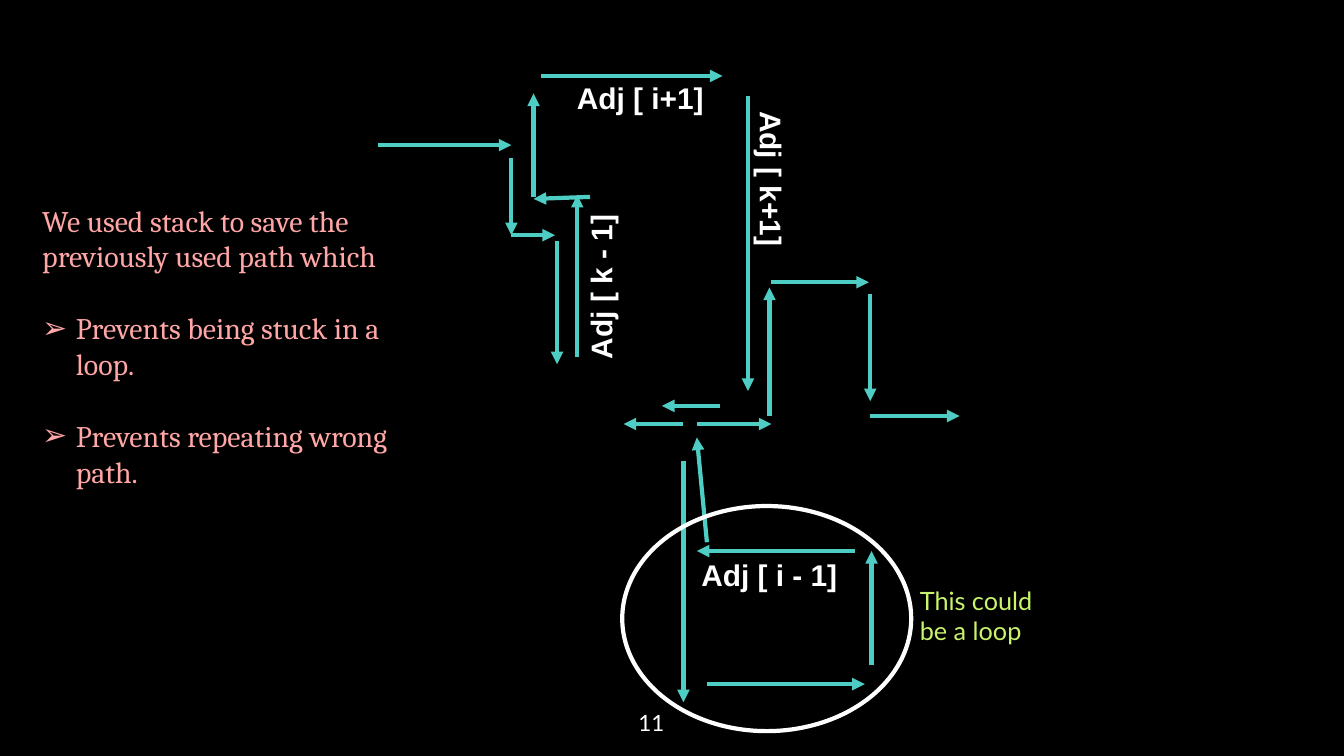
from lxml.etree import SubElement
from pptx import Presentation
from pptx.dml.color import RGBColor
from pptx.enum.shapes import MSO_CONNECTOR, MSO_SHAPE
from pptx.enum.text import MSO_AUTO_SIZE, PP_ALIGN
from pptx.oxml.ns import qn
from pptx.util import Emu, Pt

PX = 9144
LINE_WIDTH = Pt(4.5)
COLORS = {
    "background": "000000",
    "arrow": "4ECDC4",
    "white": "FFFFFF",
    "loop": "CAF46C",
    "body": "FFA6A6",
}
FORMATS = {
    "label": {"name": "Arial", "size": Pt(32), "bold": True},
    "loop": {"name": "Lato", "size": Pt(27)},
    "body": {"name": "Cambria", "size": Pt(32)},
    "number": {"name": "Lato", "size": Pt(24)},
}
ARROWS = [
    (563, 216, 761, 216),
    (761, 235, 761, 350),
    (761, 350, 826, 350),
    (829, 358, 829, 542),
    (859, 531, 859, 290),
    (878, 293, 794, 296),
    (794, 293, 794, 139),
    (805, 113, 1075, 113),
    (1113, 143, 1113, 582),
    (1072, 604, 985, 604),
    (1017, 686, 1017, 1045),
    (1052, 1018, 1287, 1018),
    (1297, 989, 1297, 820),
    (1272, 820, 1037, 820),
    (1052, 807, 1037, 651),
    (1017, 631, 928, 631),
    (1037, 631, 1148, 631),
    (1145, 619, 1145, 428),
    (1148, 420, 1293, 420),
    (1295, 437, 1295, 597),
    (1295, 619, 1428, 619),
]
LABELS = [
    ("Adj [ k+1]", 1015, 234, 90),
    ("Adj [ i - 1]", 1012, 823, 0),
    ("Adj [ i+1]", 820, 114, 0),
    ("Adj [ k - 1]", 761, 395, 270),
]
INTRODUCTION = "We used stack to save the previously used path which"
BENEFITS = ["Prevents being stuck in a loop.", "Prevents repeating wrong path."]


def px(*lengths):
    """Turn whole px lengths into EMU."""
    return [Emu(length * PX) for length in lengths]


def color(name):
    """Look up a named colour."""
    return RGBColor.from_string(COLORS[name])


def add_arrow(slide, ends):
    """Draw a straight arrow along the maze path."""
    arrow = slide.shapes.add_connector(MSO_CONNECTOR.STRAIGHT, *px(*ends))
    arrow.line.color.rgb = color("arrow")
    arrow.line.width = LINE_WIDTH
    SubElement(arrow.line._get_or_add_ln(), qn("a:tailEnd"), type="triangle")
    SubElement(arrow._element.spPr, qn("a:effectLst"))


def add_ellipse(slide, box):
    """Draw the outline around the loop."""
    ellipse = slide.shapes.add_shape(MSO_SHAPE.OVAL, *px(*box))
    ellipse.shadow.inherit = False
    ellipse.fill.background()
    ellipse.line.color.rgb = color("white")
    ellipse.line.width = LINE_WIDTH


def add_text(slide, box, lines, style, color_name, wrap=True):
    """Add a text box with one paragraph per line and return its shape."""
    shape = slide.shapes.add_textbox(*px(*box))
    frame = shape.text_frame
    frame.word_wrap = wrap
    frame.auto_size = MSO_AUTO_SIZE.SHAPE_TO_FIT_TEXT
    frame.text = "\n".join(lines)
    for paragraph in frame.paragraphs:
        for run in paragraph.runs:
            for attribute, value in FORMATS[style].items():
                setattr(run.font, attribute, value)
            run.font.color.rgb = color(color_name)
    return shape


def add_label(slide, text, left, top, rotation):
    """Add a centred label, turned along its arrow."""
    shape = add_text(slide, (left, top, 266, 64), [text], "label", "white")
    shape.rotation = rotation
    shape.text_frame.paragraphs[0].alignment = PP_ALIGN.CENTER


def add_body(slide):
    """Add the introduction and its bulleted benefits."""
    shape = add_text(slide, (53, 296, 609, 441), [INTRODUCTION, *BENEFITS], "body", "body")
    for paragraph in shape.text_frame.paragraphs[1:]:
        paragraph.space_before = Pt(38.5)
        properties = paragraph._p.get_or_add_pPr()
        indent = px(50)[0]
        properties.set("marL", str(indent))
        properties.set("indent", str(-indent))
        SubElement(properties, qn("a:buFont"), typeface="Arial")
        SubElement(properties, qn("a:buChar"), char="➢")


def add_page_number(slide):
    """Add the page number with even insets."""
    shape = add_text(slide, (940, 1045, 120, 80), ["11"], "number", "white")
    shape.text_frame.auto_size = MSO_AUTO_SIZE.NONE
    for side in ("left", "top", "right", "bottom"):
        setattr(shape.text_frame, f"margin_{side}", px(10)[0])


def main():
    """Build the slide and save it."""
    presentation = Presentation()
    presentation.slide_width, presentation.slide_height = px(2000, 1125)
    slide = presentation.slides.add_slide(presentation.slide_layouts[6])
    slide.background.fill.solid()
    slide.background.fill.fore_color.rgb = color("background")
    add_page_number(slide)
    for ends in ARROWS:
        add_arrow(slide, ends)
    for label in LABELS:
        add_label(slide, *label)
    add_ellipse(slide, (926, 753, 430, 335))
    add_text(slide, (1359, 866, 203, 101), ["This could", "be a loop"], "loop", "loop", wrap=False)
    add_body(slide)
    presentation.save("out.pptx")


if __name__ == "__main__":
    main()
